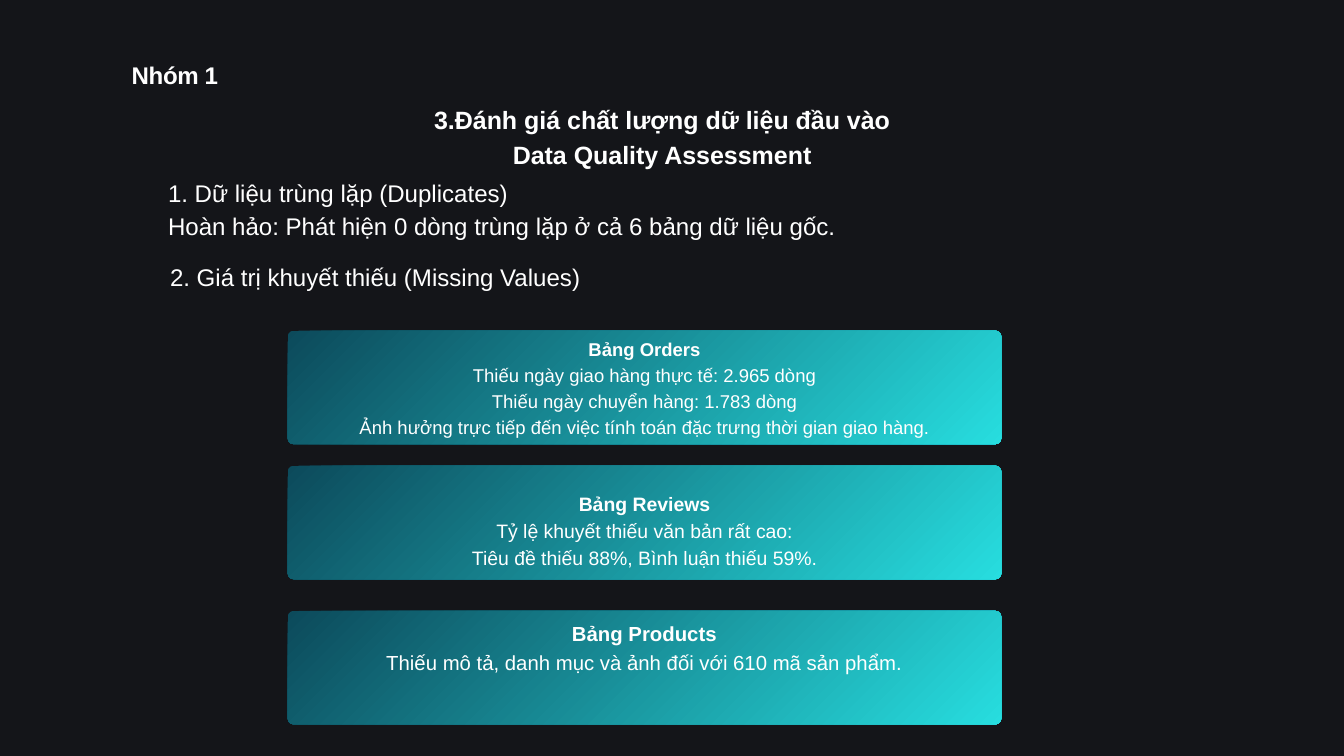
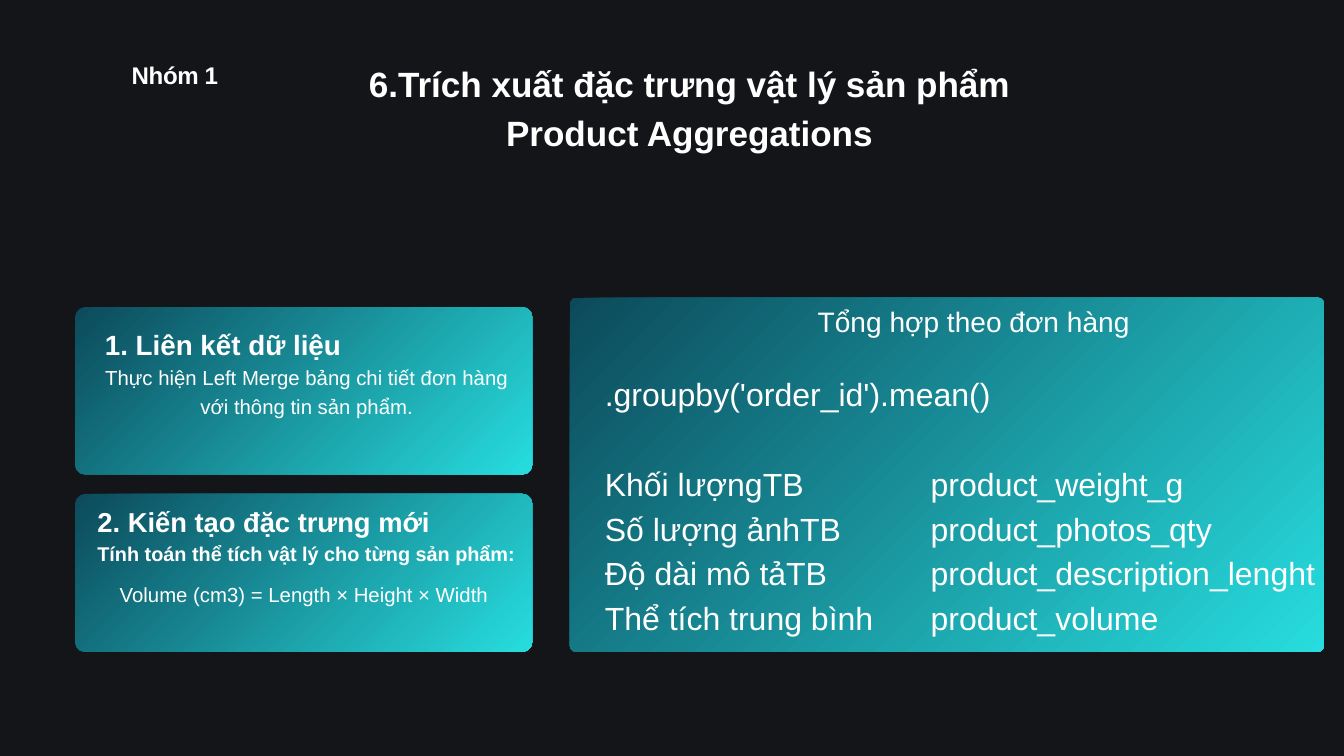
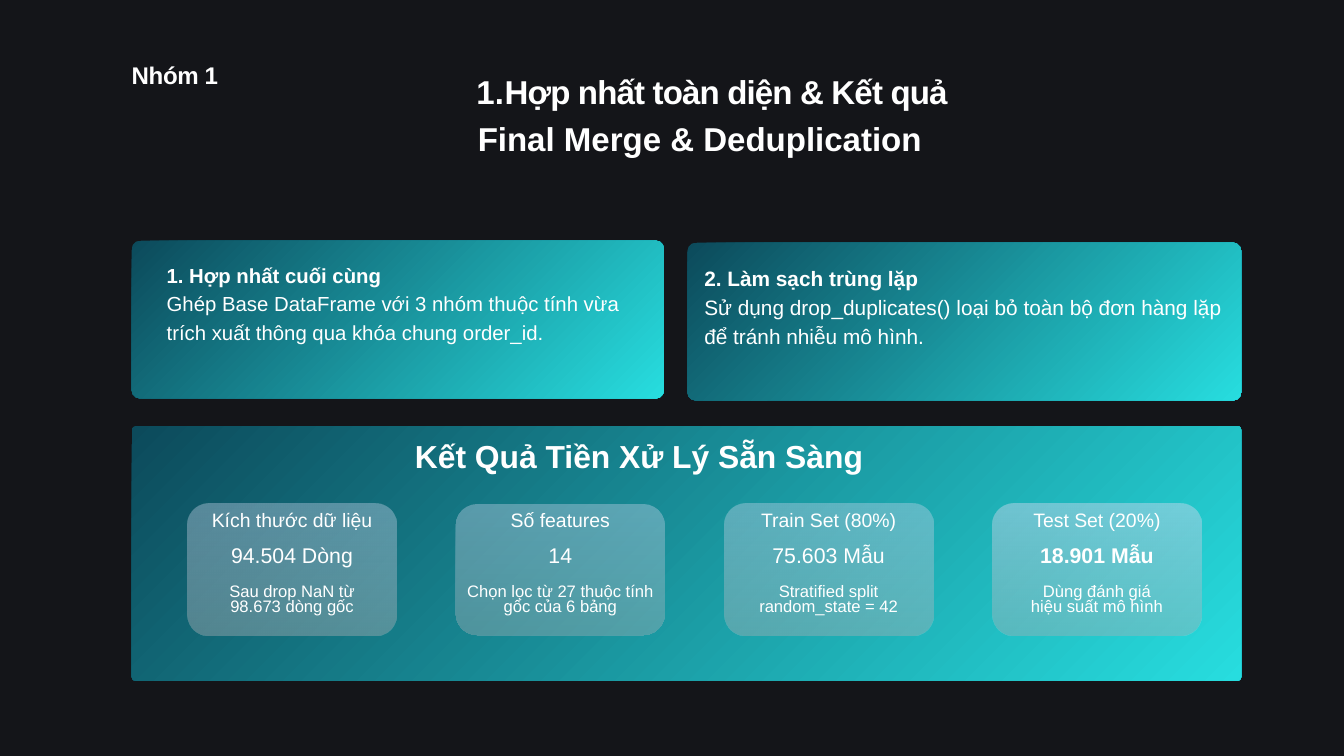
import dataclasses

import lxml.etree
import pptx
import pptx.dml.color
import pptx.enum.shapes
import pptx.enum.text
import pptx.util
from pptx.oxml.ns import qn

CELL = pptx.util.Inches(0.25)
COLUMNS, ROWS = 80, 45

INK = pptx.dml.color.RGBColor(0x14, 0x15, 0x19)
WHITE = pptx.dml.color.RGBColor(0xFF, 0xFF, 0xFF)
DEEP_TEAL = pptx.dml.color.RGBColor(0x0C, 0x4A, 0x5B)
AQUA = pptx.dml.color.RGBColor(0x27, 0xDD, 0xDF)
ICE = pptx.dml.color.RGBColor(0xD0, 0xD9, 0xEF)
MIST = pptx.dml.color.RGBColor(0xAF, 0xB1, 0xB6)

FONT = "Arial"
LOOSE, TIGHT = 1.4, 0.88
LEFT = pptx.enum.text.PP_ALIGN.LEFT
CENTER = pptx.enum.text.PP_ALIGN.CENTER


@dataclasses.dataclass
class Box:
    """A rectangle measured in grid cells."""
    left: float
    top: float
    width: float
    height: float

    def inside(self, left, top, width, height):
        """Return a box offset from this one's top left corner."""
        return Box(self.left + left, self.top + top, width, height)

    def lengths(self):
        """Return left, top, width and height as slide lengths."""
        return [round(cells * CELL) for cells in dataclasses.astuple(self)]


@dataclasses.dataclass
class Line:
    """One paragraph and its look."""
    text: str
    size: float
    bold: bool = False
    align: int = LEFT
    leading: float = LOOSE
    before: float = 0
    tracking: float = 0
    numbered: bool = False
    tab: float = 0


def write_line(para, line):
    """Fill and format one paragraph."""
    para.text = line.text
    para.alignment = line.align
    para.line_spacing = pptx.util.Pt(round(line.size * line.leading, 1))
    para.space_before = pptx.util.Pt(line.before)
    properties = para._p.get_or_add_pPr()
    if line.numbered:
        properties.set("marL", str(pptx.util.Inches(0.84)))
        properties.set("indent", str(pptx.util.Inches(-0.42)))
        lxml.etree.SubElement(properties, qn("a:buFont"), typeface="+mj-lt")
        lxml.etree.SubElement(properties, qn("a:buAutoNum"), type="arabicPeriod")
    if line.tab:
        stops = lxml.etree.SubElement(properties, qn("a:tabLst"))
        lxml.etree.SubElement(stops, qn("a:tab"), pos=str(round(line.tab * CELL)), algn="l")
    para.font.name = FONT
    para.font.size = pptx.util.Pt(line.size)
    para.font.bold = line.bold
    para.font.color.rgb = WHITE
    if line.tracking:
        properties.find(qn("a:defRPr")).set("spc", str(round(line.tracking * 100)))


def write_lines(frame, lines):
    """Write the lines into a text frame without margins."""
    frame.word_wrap = True
    frame.auto_size = pptx.enum.text.MSO_AUTO_SIZE.NONE
    frame.vertical_anchor = pptx.enum.text.MSO_ANCHOR.TOP
    frame.margin_left = frame.margin_top = frame.margin_right = frame.margin_bottom = 0
    for index, line in enumerate(lines):
        write_line(frame.add_paragraph() if index else frame.paragraphs[0], line)


def add_text(page, box, *lines):
    """Add a text box."""
    write_lines(page.shapes.add_textbox(*box.lengths()).text_frame, lines)


def add_page(deck, title_box, *title_lines):
    """Add a slide with its title and the group's name."""
    page = deck.slides.add_slide(deck.slide_layouts.get_by_name("Title Only"))
    title = page.shapes.title
    title.left, title.top, title.width, title.height = title_box.lengths()
    write_lines(title.text_frame, title_lines)
    add_text(page, Box(7.84, 4.08, 5.68, 1.6),
             Line("Nhóm 1", 25.8, True, leading=TIGHT, tracking=-0.4))
    return page


def add_panel(page, box, radius, colors=(DEEP_TEAL, AQUA), angle=45, opacities=()):
    """Add a rounded panel with a two-colour gradient."""
    panel = page.shapes.add_shape(
        pptx.enum.shapes.MSO_SHAPE.ROUNDED_RECTANGLE, *box.lengths())
    panel.adjustments[0] = radius / min(box.width, box.height)
    panel.shadow.inherit = False
    panel.line.fill.background()
    panel.fill.gradient()
    panel.fill.gradient_angle = 360 - angle
    for stop, color in zip(panel.fill.gradient_stops, colors):
        stop.color.rgb = color
    for color, opacity in zip(panel._element.spPr.iter(qn("a:srgbClr")), opacities):
        lxml.etree.SubElement(color, qn("a:alpha"), val=str(opacity * 1000))


def add_missing_panel(page, top, text_top, size, heading, *details):
    """Add a panel on the missing values of one table."""
    box = Box(17.12, top, 42.48, 6.76)
    add_panel(page, box, 0.36)
    add_text(page, box.inside(0, text_top, box.width, box.height - text_top),
             Line(heading, size, True, CENTER),
             *[Line(detail, size, align=CENTER) for detail in details])


def add_step_panel(page, box, text_box, size, heading, detail):
    """Add a panel with a heading and a description."""
    add_panel(page, box, 0.5)
    add_text(page, text_box, Line(heading, size, True), Line(detail, size))


def add_result_card(page, box, opacities, label, value, bold, notes):
    """Add a translucent card with a label, a value and a note."""
    add_panel(page, box, 1.27, (ICE, MIST), 90, opacities)
    first, second = notes
    add_text(page, box.inside(0.24, 0.64, box.width - 0.48, box.height - 0.8),
             Line(label, 20.8, False, CENTER, TIGHT),
             Line(value, 22.8, bold, CENTER, TIGHT, before=18.3),
             Line(first, 17.8, False, CENTER, TIGHT, before=20),
             Line(second, 17.8, False, CENTER, TIGHT))


def add_results(page, box):
    """Add the results panel with its row of cards."""
    add_panel(page, box, 0.24)
    add_text(page, box.inside(15.72, 0.28, 28.96, 2.84),
             Line("Kết Quả Tiền Xử Lý Sẵn Sàng", 34.1, True, CENTER))
    cards = [
        ((38, 42), "Kích thước dữ liệu", "94.504 Dòng", False,
         ("Sau drop NaN từ", "98.673 dòng gốc")),
        ((36, 36), "Số features", "14", False,
         ("Chọn lọc từ 27 thuộc tính", "gốc của 6 bảng")),
        ((37, 40), "Train Set (80%)", "75.603 Mẫu", False,
         ("Stratified split", "random_state = 42")),
        ((46, 39), "Test Set (20%)", "18.901 Mẫu", True,
         ("Dùng đánh giá", "hiệu suất mô hình")),
    ]
    for index, card in enumerate(cards):
        add_result_card(page, box.inside(3.32 + 15.97 * index, 4.64, 12.44, 7.8), *card)


def add_order_summary(page, box):
    """Add the panel that pairs each average with its column."""
    add_panel(page, box, 0.36)
    features = [
        ("Khối lượngTB", "product_weight_g"),
        ("Số lượng ảnhTB", "product_photos_qty"),
        ("Độ dài mô tảTB", "product_description_lenght"),
        ("Thể tích trung bình", "product_volume"),
    ]
    add_text(page, box.inside(2.08, 4.2, 42.8, 15.96),
             Line(".groupby('order_id').mean()", 34.3),
             *[Line(f"{label}\t{column}", 34.3, before=0 if index else 48, tab=19.4)
               for index, (label, column) in enumerate(features)])
    add_text(page, box.inside(9.56, 0.04, 28.96, 2.52),
             Line("Tổng hợp theo đơn hàng", 30.1, align=CENTER))


def build_quality_page(deck):
    """Build the slide on input data quality."""
    page = add_page(deck, Box(25.72, 5.92, 27.4, 4.32),
                    Line("3.Đánh giá chất lượng dữ liệu đầu vào", 26.8, True, CENTER),
                    Line("Data Quality Assessment", 26.8, True, CENTER))
    add_text(page, Box(10, 10.32, 62.88, 4.16),
             Line("1. Dữ liệu trùng lặp (Duplicates)", 25.8),
             Line("Hoàn hảo: Phát hiện 0 dòng trùng lặp ở cả 6 bảng dữ liệu gốc.", 25.8))
    add_text(page, Box(10.12, 15.32, 25, 2.16),
             Line("2. Giá trị khuyết thiếu (Missing Values)", 25.8))
    add_missing_panel(page, 19.68, 0.24, 19.8, "Bảng Orders",
                      "Thiếu ngày giao hàng thực tế: 2.965 dòng",
                      "Thiếu ngày chuyển hàng: 1.783 dòng",
                      "Ảnh hưởng trực tiếp đến việc tính toán đặc trưng thời gian giao hàng.")
    add_missing_panel(page, 27.72, 1.32, 20.8, "Bảng Reviews",
                      "Tỷ lệ khuyết thiếu văn bản rất cao:",
                      "Tiêu đề thiếu 88%, Bình luận thiếu 59%.")
    add_missing_panel(page, 36.36, 0.4, 21.8, "Bảng Products",
                      "Thiếu mô tả, danh mục và ảnh đối với 610 mã sản phẩm.")


def build_product_page(deck):
    """Build the slide on physical product features."""
    page = add_page(deck, Box(21.68, 3.32, 38.72, 6.04),
                    Line("6.Trích xuất đặc trưng vật lý sản phẩm", 37.6, True, CENTER),
                    Line("Product Aggregations", 37.6, True, CENTER))
    merge = Box(4.48, 18.28, 27.2, 9.96)
    add_panel(page, merge, 0.58)
    add_text(page, merge.inside(1.76, 0.92, 24.04, 5.84),
             Line("1. Liên kết dữ liệu", 29.8, True),
             Line("Thực hiện Left Merge bảng chi tiết đơn hàng với thông tin sản phẩm.",
                  21.8, align=CENTER))
    volume = Box(4.48, 29.4, 27.2, 9.4)
    add_panel(page, volume, 0.58)
    add_text(page, volume.inside(1.32, 0.32, 25.48, 4.04),
             Line("2. Kiến tạo đặc trưng mới", 29.3, True),
             Line("Tính toán thể tích vật lý cho từng sản phẩm:", 21.3, True))
    add_text(page, volume.inside(0.88, 5, 25.48, 1.84),
             Line("Volume (cm3) = Length × Height × Width", 21.8, align=CENTER))
    add_order_summary(page, Box(33.92, 17.72, 44.88, 21.08))


def build_merge_page(deck):
    """Build the slide on the final merge and its results."""
    page = add_page(deck, Box(26.68, 3.88, 29.96, 8.48),
                    Line("Hợp nhất toàn diện & Kết quả", 35.4, True,
                         tracking=-0.9, numbered=True),
                    Line("Final Merge & Deduplication", 35.4, True, CENTER))
    merge = Box(7.84, 14.32, 31.68, 9.4)
    add_step_panel(page, merge, merge.inside(2.08, 1.08, 27.6, 6.84), 21.8,
                   "1. Hợp nhất cuối cùng",
                   "Ghép Base DataFrame với 3 nhóm thuộc tính vừa trích xuất "
                   "thông qua khóa chung order_id.")
    cleaning = Box(40.92, 14.44, 32.96, 9.4)
    add_step_panel(page, cleaning, cleaning.inside(1, 1.12, 31.16, 6.96), 22.3,
                   "2. Làm sạch trùng lặp",
                   "Sử dụng drop_duplicates() loại bỏ toàn bộ đơn hàng lặp "
                   "để tránh nhiễu mô hình.")
    add_results(page, Box(7.84, 25.36, 66.04, 15.16))


def main():
    """Build and save the deck."""
    deck = pptx.Presentation()
    deck.slide_width, deck.slide_height = COLUMNS * CELL, ROWS * CELL
    background = deck.slide_master.background.fill
    background.solid()
    background.fore_color.rgb = INK
    build_quality_page(deck)
    build_product_page(deck)
    build_merge_page(deck)
    deck.save("out.pptx")


if __name__ == "__main__":
    main()
